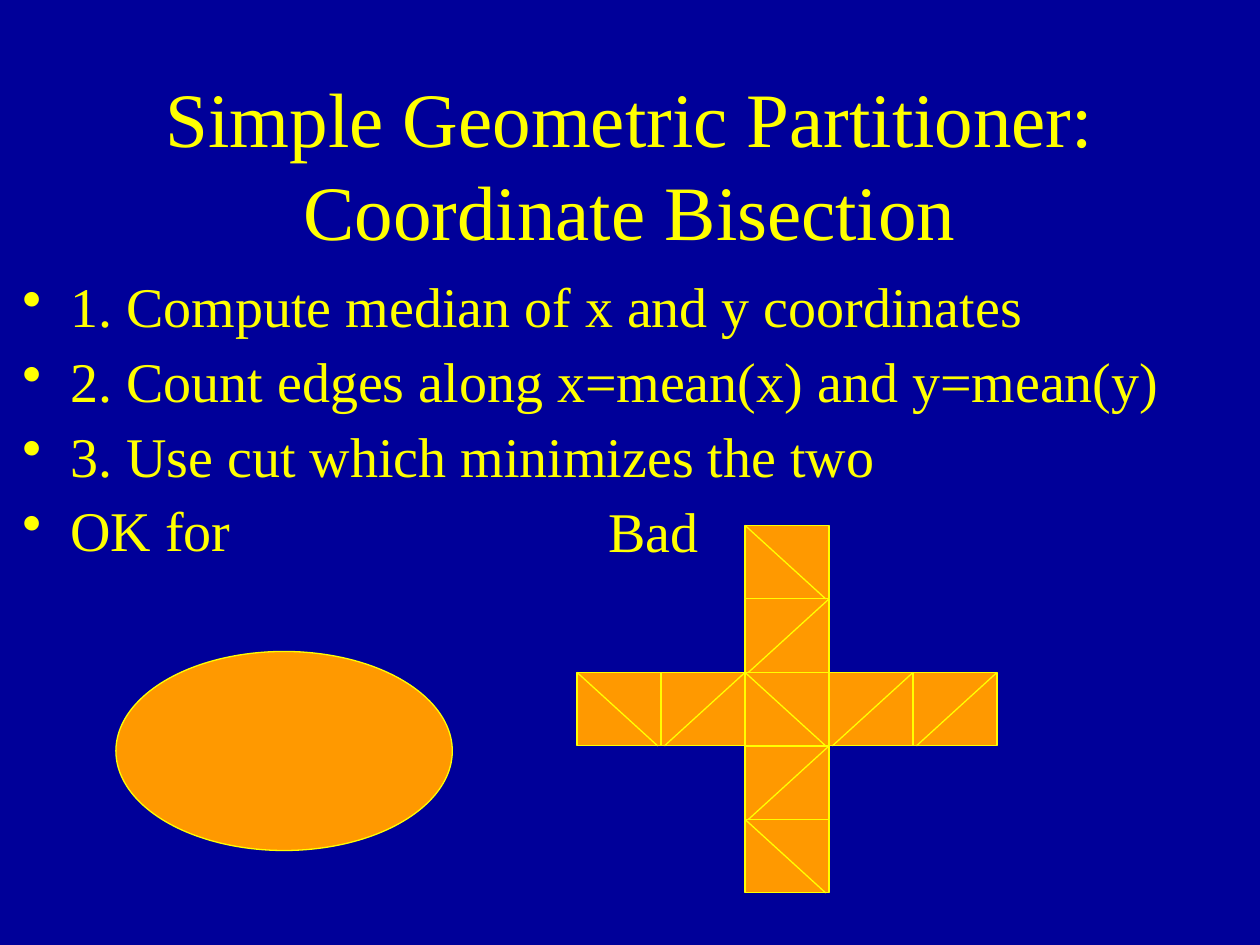
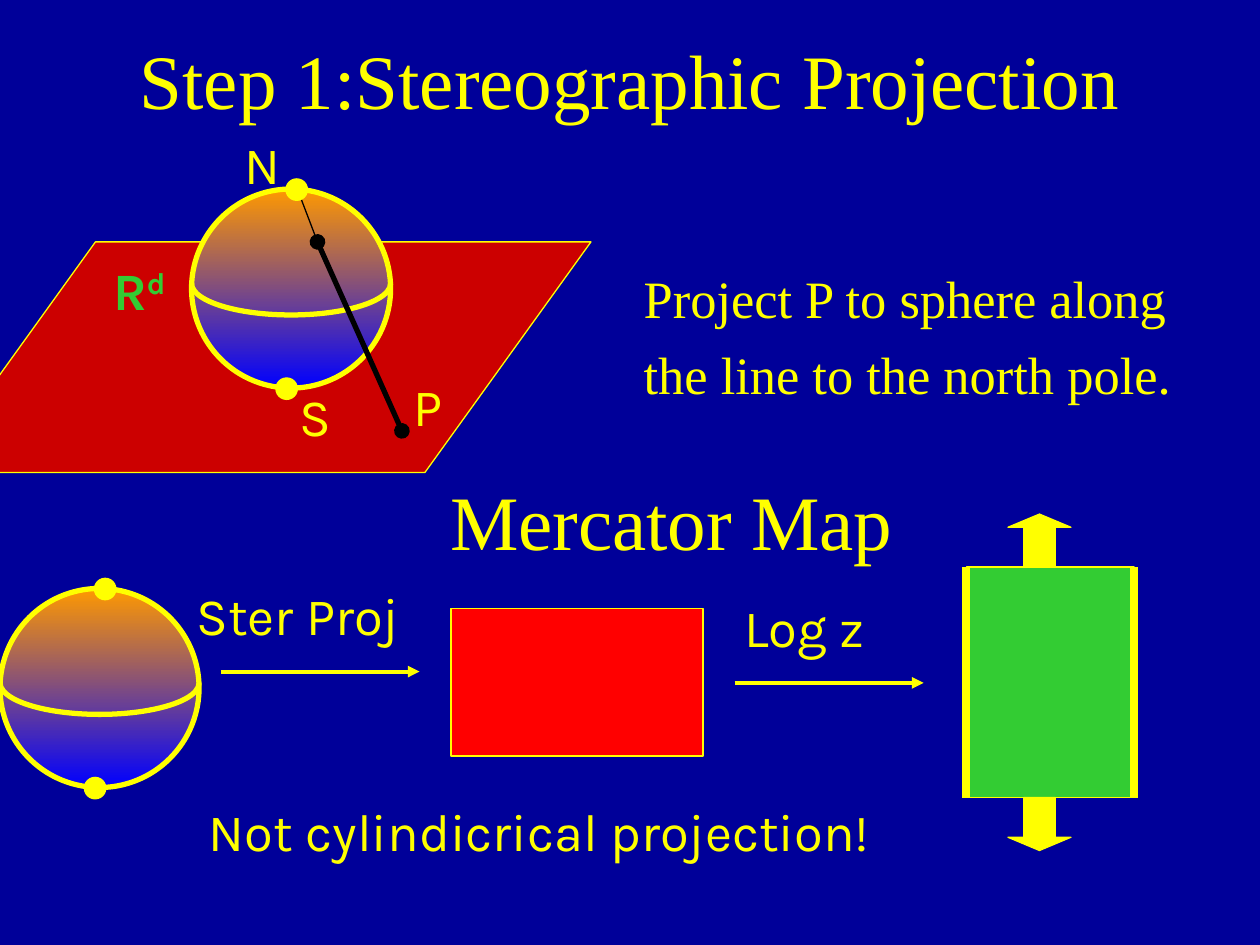
"""Build two slides on geometric mesh partitioning and stereographic projection."""
import pptx
import pptx.dml.color
import pptx.enum.shapes
import pptx.enum.text
import pptx.oxml.ns
import pptx.util
import lxml.etree

Inches = pptx.util.Inches
Pt = pptx.util.Pt
SHAPE = pptx.enum.shapes.MSO_SHAPE
STRAIGHT = pptx.enum.shapes.MSO_CONNECTOR.STRAIGHT
ALIGN = pptx.enum.text.PP_ALIGN
ANCHOR = pptx.enum.text.MSO_ANCHOR
qualified = pptx.oxml.ns.qn
rgb = pptx.dml.color.RGBColor.from_string

COLORS = {
    "navy": "000099",
    "yellow": "FFFF00",
    "orange": "FF9900",
    "blue": "0000FF",
    "plane": "CC0000",
    "red": "FF0000",
    "green": "33CC33",
    "black": "000000",
}
SERIF = "Times New Roman"
SANS = "Karla"


def add_text(slide, text, left, top, width, height, *, font=SANS, size=30, color="yellow",
             bold=False, superscript="", align=ALIGN.LEFT, anchor=ANCHOR.TOP, wrap=False,
             space_before=7.5, line_spacing=None, bullet=False):
    box = slide.shapes.add_textbox(Inches(left), Inches(top), Inches(width), Inches(height))
    frame = box.text_frame
    frame.word_wrap = wrap
    frame.vertical_anchor = anchor
    for number, line in enumerate(text.split("\n")):
        paragraph = frame.add_paragraph() if number else frame.paragraphs[0]
        paragraph.alignment = align
        if number:
            paragraph.space_before = Pt(space_before)
        if line_spacing:
            paragraph.line_spacing = line_spacing
        if bullet:
            properties = paragraph._p.get_or_add_pPr()
            properties.set("marL", str(Inches(0.38)))
            properties.set("indent", str(-Inches(0.38)))
            lxml.etree.SubElement(properties, qualified("a:buChar")).set("char", "•")
        for content in filter(None, (line, superscript)):
            run = paragraph.add_run()
            run.text = content
            run.font.name = font
            run.font.size = Pt(size)
            run.font.bold = bold
            run.font.color.rgb = rgb(COLORS[color])
            if content == superscript:
                run.font._element.set("baseline", "30000")


def style(shape, fill=None, line="yellow", weight=0.75, head=None, tail=None):
    shape.line.color.rgb = rgb(COLORS[line])
    shape.line.width = Pt(weight)
    if hasattr(shape, "fill"):
        shape.shadow.inherit = False
        if fill:
            shape.fill.solid()
            shape.fill.fore_color.rgb = rgb(COLORS[fill])
        else:
            shape.fill.background()
        return
    outline = shape.line._get_or_add_ln()
    for tag, kind in (("a:headEnd", head), ("a:tailEnd", tail)):
        if kind:
            lxml.etree.SubElement(outline, qualified(tag)).set("type", kind)
    lxml.etree.SubElement(shape._element.spPr, qualified("a:effectLst"))


presentation = pptx.Presentation()
presentation.slide_width = Inches(10)
presentation.slide_height = Inches(7.5)
title_format = dict(font=SERIF, size=44, align=ALIGN.CENTER, anchor=ANCHOR.MIDDLE, wrap=True)

slides = []
for title, title_top in (
    ("Simple Geometric Partitioner: Coordinate Bisection", 0.67),
    ("Step 1:Stereographic Projection", 0),
):
    slide = presentation.slides.add_slide(presentation.slide_layouts[6])
    slide.background.fill.solid()
    slide.background.fill.fore_color.rgb = rgb(COLORS["navy"])
    add_text(slide, title, 0.75, title_top, 8.5, 1.25, **title_format)
    slides.append(slide)
bisection, projection = slides

steps = "\n".join((
    "1. Compute median of x and y coordinates",
    "2. Count edges along x=mean(x) and y=mean(y)",
    "3. Use cut which minimizes the two",
    "OK for",
))
body_format = dict(font=SERIF, size=32, line_spacing=0.9, wrap=True)
add_text(bisection, steps, 0.08, 2.17, 9.75, 2.5, space_before=8, bullet=True, **body_format)
add_text(bisection, "Bad", 4.73, 3.95, 1.1, 0.6, **body_format)

mesh_left, mesh_top = 4.58, 4.17
cell_width, cell_height = 2 / 3, 7 / 12
diagonal_width = 0.64
mesh_cells = (
    (0, 2, "down"), (1, 2, "up"), (2, 2, "down"), (3, 2, "up"), (4, 2, "up"),
    (2, 3, "up"), (2, 4, "down"), (2, 1, "up"), (2, 0, "down"),
)
for column, row, slope in mesh_cells:
    left = mesh_left + column * cell_width
    top = mesh_top + row * cell_height
    cell = bisection.shapes.add_shape(
        SHAPE.RECTANGLE, Inches(left), Inches(top), Inches(cell_width), Inches(cell_height))
    style(cell, "orange")
    start, reach = (left, diagonal_width) if slope == "down" else (left + cell_width, -diagonal_width)
    diagonal = bisection.shapes.add_connector(
        STRAIGHT, Inches(start), Inches(top), Inches(start + reach), Inches(top + cell_height))
    style(diagonal)

ellipse = bisection.shapes.add_shape(
    SHAPE.OVAL, Inches(0.92), Inches(5.17), Inches(2.67), Inches(1.58))
style(ellipse, "orange")

plane = projection.shapes.add_shape(
    SHAPE.PARALLELOGRAM, Inches(-0.56), Inches(1.92), Inches(5.25), Inches(1.83))
plane.adjustments[0] = 0.72
style(plane, "plane")

sphere_size, equator_height, pole_size = 1.58, 0.5, 0.17
spheres = ((1.52, 1.5), (0, 4.67))
for left, top in spheres:
    sphere = projection.shapes.add_shape(
        SHAPE.OVAL, Inches(left), Inches(top), Inches(sphere_size), Inches(sphere_size))
    style(sphere, weight=3)
    sphere.fill.gradient()
    sphere.fill.gradient_angle = 270
    for stop, color in zip(sphere.fill.gradient_stops, ("orange", "blue")):
        stop.color.rgb = rgb(COLORS[color])
    equator = projection.shapes.add_shape(
        SHAPE.ARC, Inches(left), Inches(top + 0.5), Inches(sphere_size), Inches(equator_height))
    equator.adjustments[0] = 0
    equator.adjustments[1] = 108
    style(equator, weight=3)

sight_line = projection.shapes.add_connector(
    STRAIGHT, Inches(2.52), Inches(1.92), Inches(2.36), Inches(1.5))
style(sight_line, line="black", head="oval")

for left, top in spheres:
    for pole_x, pole_y in ((0.67, 1.5), (0.75, -0.08)):
        pole = projection.shapes.add_shape(
            SHAPE.OVAL, Inches(left + pole_x), Inches(top + pole_y),
            Inches(pole_size), Inches(pole_size))
        style(pole, "yellow")

for kind, left, top, width, height, fill in (
    (SHAPE.RECTANGLE, 7.67, 4.5, 1.33, 1.83, "green"),
    (SHAPE.RECTANGLE, 3.58, 4.83, 2, 1.17, "red"),
    (SHAPE.UP_ARROW, 8, 4.08, 0.5, 0.42, "yellow"),
    (SHAPE.DOWN_ARROW, 8, 6.33, 0.5, 0.42, "yellow"),
):
    shape = projection.shapes.add_shape(
        kind, Inches(left), Inches(top), Inches(width), Inches(height))
    style(shape, fill)
    if kind != SHAPE.RECTANGLE:
        shape.adjustments[0] = 0.5
        shape.adjustments[1] = 0.25

strip_edge = dict(weight=4.5)
map_arrow = dict(weight=2.25, tail="triangle")
projection_ray = dict(line="black", weight=3, head="oval", tail="oval")
for start_x, start_y, end_x, end_y, line_format in (
    (7.67, 4.5, 7.67, 6.33, strip_edge),
    (9, 4.5, 9, 6.33, strip_edge),
    (1.75, 5.33, 3.33, 5.33, map_arrow),
    (5.83, 5.42, 7.33, 5.42, map_arrow),
    (2.52, 1.92, 3.19, 3.42, projection_ray),
):
    connector = projection.shapes.add_connector(
        STRAIGHT, Inches(start_x), Inches(start_y), Inches(end_x), Inches(end_y))
    style(connector, **line_format)

for label, left, top, width in (
    ("N", 1.84, 1, 0.51),
    ("S", 2.28, 3, 0.43),
    ("P", 3.18, 2.92, 0.45),
    ("Ster Proj", 1.46, 4.58, 1.88),
    ("Log z", 5.81, 4.67, 1.23),
    ("Not cylindicrical projection!", 1.56, 6.29, 5.51),
):
    add_text(projection, label, left, top, width, 0.6)
add_text(projection, "R", 0.8, 2, 0.63, 0.6, color="green", bold=True, superscript="d")
add_text(projection, "Project P to sphere along\nthe line to the north pole.",
         5.01, 2.06, 4.39, 1.21, font=SERIF)
add_text(projection, "Mercator Map", 1.08, 3.5, 8.5, 1.25, **title_format)

presentation.save("out.pptx")
